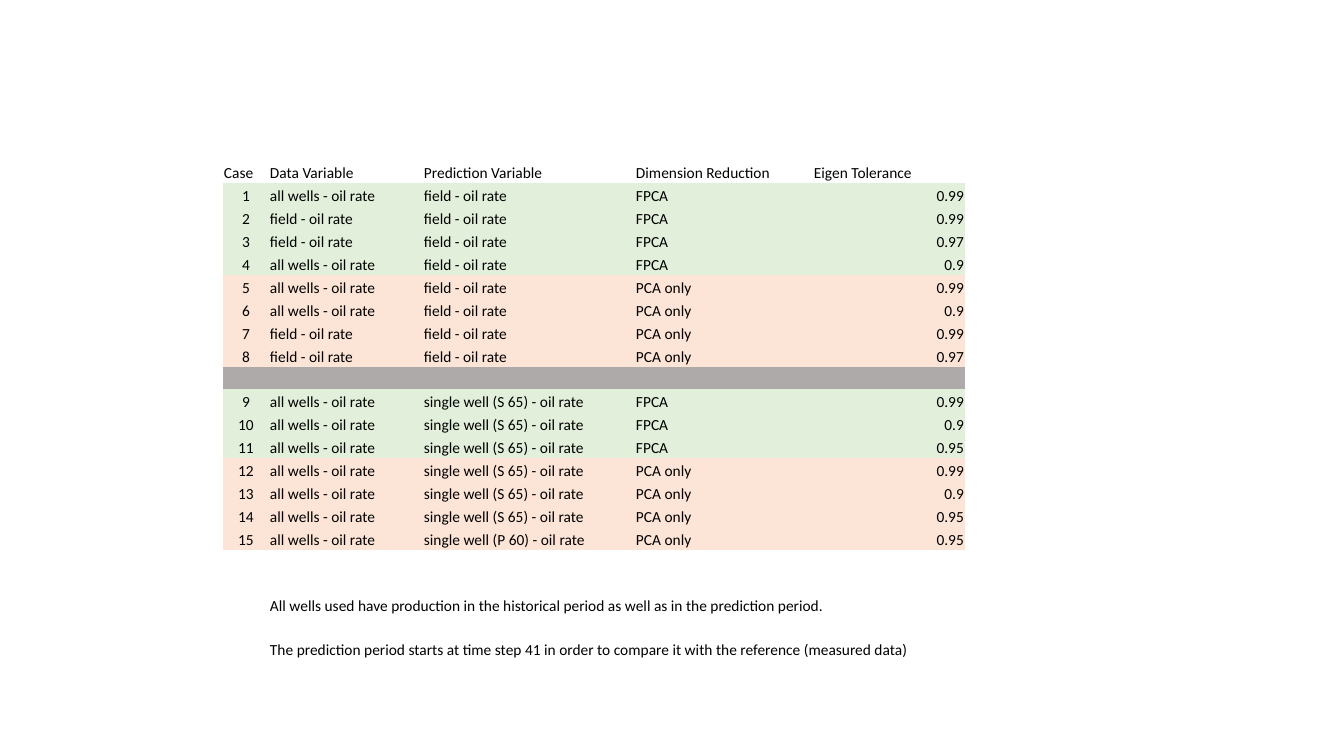
from lxml import etree
from pptx import Presentation
from pptx import util as u
from pptx.dml.color import RGBColor
from pptx.enum import text
from pptx.oxml.ns import qn

NO_STYLE_NO_GRID = "{2D5ABB26-0587-4C30-8999-92F81FD0307C}"
GREEN, ORANGE, GRAY = "E2EFDA", "FCE4D6", "AEAAAA"
FIELD, WELLS = "field - oil rate", "all wells - oil rate"
S65, P60 = "single well (S 65) - oil rate", "single well (P 60) - oil rate"
FPCA, PCA = "FPCA", "PCA only"


def px(n):
    return u.Emu(round(n * 914400 / 100.8))


def rgb(value):
    return RGBColor.from_string(value)


headers = ["Case", "Data Variable", "Prediction Variable", "Dimension Reduction", "Eigen Tolerance"]
field_cases = [
    (WELLS, FIELD, FPCA, "0.99"),
    (FIELD, FIELD, FPCA, "0.99"),
    (FIELD, FIELD, FPCA, "0.97"),
    (WELLS, FIELD, FPCA, "0.9"),
    (WELLS, FIELD, PCA, "0.99"),
    (WELLS, FIELD, PCA, "0.9"),
    (FIELD, FIELD, PCA, "0.99"),
    (FIELD, FIELD, PCA, "0.97"),
]
well_cases = [
    (WELLS, S65, FPCA, "0.99"),
    (WELLS, S65, FPCA, "0.9"),
    (WELLS, S65, FPCA, "0.95"),
    (WELLS, S65, PCA, "0.99"),
    (WELLS, S65, PCA, "0.9"),
    (WELLS, S65, PCA, "0.95"),
    (WELLS, P60, PCA, "0.95"),
]
notes = [
    "All wells used have production in the historical period as well as in the prediction period.",
    "The prediction period starts at time step 41 in order to compare it with the reference (measured data)",
]

# Each row: fill, height, cell texts
blank = [""] * 5
cases = [
    ({FPCA: GREEN, PCA: ORANGE}[case[2]], 23, [str(number), *case])
    for number, case in enumerate(field_cases + well_cases, 1)
]
split = len(field_cases)
rows = [(None, 23, headers), *cases[:split], (GRAY, 22, blank), *cases[split:], (None, 23, blank)]
first_note = len(rows)
rows += [(None, height, ["", note, "", "", ""]) for height, note in zip((43, 44), notes)]
widths = [46, 154, 212, 178, 152]

prs = Presentation()
prs.slide_width, prs.slide_height = px(1344), px(756)
s = prs.slides.add_slide(prs.slide_layouts[6])

frame = s.shapes.add_table(len(rows), len(widths), px(223), px(160),
                           px(sum(widths)), px(sum(row[1] for row in rows)))
table = frame.table
table.first_row = table.horz_banding = False
frame.element.find(".//" + qn("a:tableStyleId")).text = NO_STYLE_NO_GRID

for column, width in zip(table.columns, widths):
    column.width = px(width)

for i, (fill, height, values) in enumerate(rows):
    table.rows[i].height = px(height)
    for j, value in enumerate(values):
        cell = table.cell(i, j)
        cell.margin_left = cell.margin_right = cell.margin_top = px(1)
        cell.margin_bottom = 0
        cell.vertical_anchor = text.MSO_ANCHOR.BOTTOM
        if fill:
            cell.fill.solid()
            cell.fill.fore_color.rgb = rgb(fill)
        else:
            cell.fill.background()
        p = cell.text_frame.paragraphs[0]
        p.text = value
        if i > 0 and j == 0:
            p.alignment = text.PP_ALIGN.CENTER
        elif i > 0 and j == 4:
            p.alignment = text.PP_ALIGN.RIGHT
        for r in p.runs:
            r.font.size, r.font.name = u.Pt(11), "Calibri"
            r.font.color.rgb = rgb("000000")
        # Keeps empty cells from stretching their row
        etree.SubElement(p._p, qn("a:endParaRPr"), sz="1100")

for i in range(first_note, len(rows)):
    table.cell(i, 1).merge(table.cell(i, 4))

prs.save("out.pptx")
